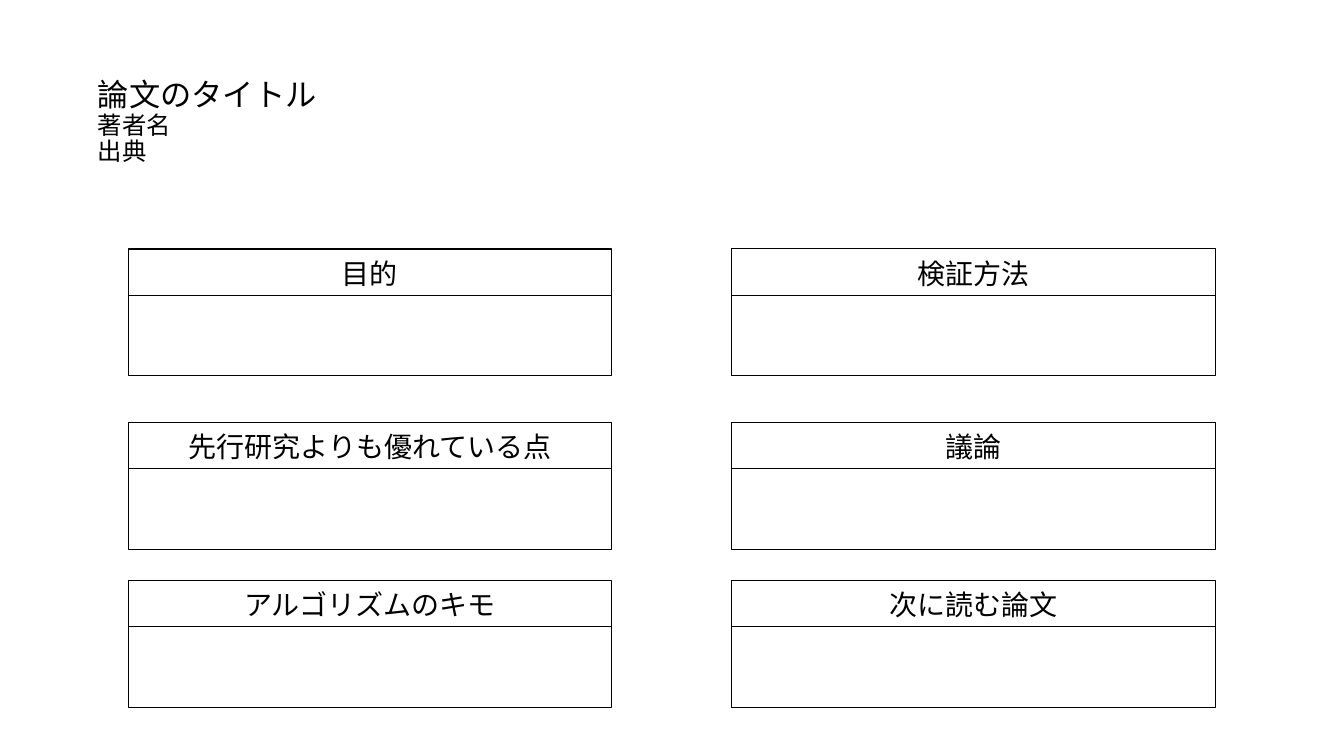
import copy
import dataclasses

import lxml.etree
import pptx
import pptx.dml.color
import pptx.enum.shapes
import pptx.enum.text
import pptx.oxml.ns
import pptx.shapes.autoshape
import pptx.slide
import pptx.text.text
import pptx.util
from pptx.util import Inches

FONT = "Noto Sans CJK JP"
INK = "000000"
LEFTS = (1.27, 7.26)
TOPS = (2.47, 4.19, 5.76)
WIDTH = 4.8
HEAD = 0.46
BODY = 0.8
INSET = Inches(0.05)


@dataclasses.dataclass
class Card:
    """A headed box, placed by column and row."""
    head: str
    col: int
    row: int


CARDS = (
    Card("目的", 0, 0),
    Card("検証方法", 1, 0),
    Card("先行研究よりも優れている点", 0, 1),
    Card("議論", 1, 1),
    Card("アルゴリズムのキモ", 0, 2),
    Card("次に読む論文", 1, 2),
)


def tint(code: str) -> pptx.dml.color.RGBColor:
    """Turn a hex string into a colour."""
    return pptx.dml.color.RGBColor.from_string(code)


def place(shape: pptx.shapes.autoshape.Shape, left: float, top: float,
          width: float, height: float) -> None:
    """Move and size a shape, in inches."""
    shape.left, shape.top = Inches(left), Inches(top)
    shape.width, shape.height = Inches(width), Inches(height)


def frame(shape: pptx.shapes.autoshape.Shape,
          anchor: pptx.enum.text.MSO_ANCHOR) -> pptx.text.text._Paragraph:
    """Set the text frame and give its first paragraph."""
    text = shape.text_frame
    text.word_wrap = True
    text.auto_size = pptx.enum.text.MSO_AUTO_SIZE.NONE
    text.vertical_anchor = anchor
    text.margin_left = text.margin_right = INSET
    text.margin_top = text.margin_bottom = INSET
    para = text.paragraphs[0]
    para.line_spacing = 0.9
    return para


def write(para: pptx.text.text._Paragraph, words: str,
          size: float) -> pptx.text.text._Run:
    """Add one run, with the font set for Latin and Japanese text."""
    run = para.add_run()
    run.text = words
    run.font.size = pptx.util.Pt(size)
    run.font.bold = False
    run.font.color.rgb = tint(INK)
    run.font.name = FONT
    east = lxml.etree.SubElement(run._r.rPr, pptx.oxml.ns.qn("a:ea"))
    east.set("typeface", FONT)
    return run


def split(para: pptx.text.text._Paragraph, run: pptx.text.text._Run) -> None:
    """Add a line break in the style of the run before it."""
    para.add_line_break()
    para._p[-1].append(copy.deepcopy(run._r.rPr))


def line(shape: pptx.shapes.autoshape.Shape) -> None:
    """Give a shape a thin outline and no fill."""
    shape.fill.background()
    shape.line.color.rgb = tint(INK)
    shape.line.width = pptx.util.Pt(0.75)


def box(slide: pptx.slide.Slide) -> pptx.shapes.autoshape.Shape:
    """Add a plain box, to be placed later."""
    shape = slide.shapes.add_shape(
        pptx.enum.shapes.MSO_SHAPE.RECTANGLE, 0, 0, 0, 0)
    shape.shadow.inherit = False
    return shape


def draw(slide: pptx.slide.Slide, card: Card,
         head: pptx.shapes.autoshape.Shape) -> None:
    """Draw a card with the given shape as its heading."""
    left, top = LEFTS[card.col], TOPS[card.row]
    place(head, left, top, WIDTH, HEAD)
    line(head)
    para = frame(head, pptx.enum.text.MSO_ANCHOR.BOTTOM)
    para.alignment = pptx.enum.text.PP_ALIGN.CENTER
    para.space_before = pptx.util.Pt(10)
    write(para, card.head, 20)
    body = box(slide)
    place(body, left, top + HEAD, WIDTH, BODY)
    line(body)


def label(slide: pptx.slide.Slide) -> None:
    """Fill the title with the paper, its author and its source."""
    title = slide.shapes.title
    place(title, 0.92, 0.29, 11.5, 1.85)
    para = frame(title, pptx.enum.text.MSO_ANCHOR.MIDDLE)
    para.alignment = pptx.enum.text.PP_ALIGN.LEFT
    split(para, write(para, "論文のタイトル", 22.3))
    split(para, write(para, "著者名", 17.4))
    write(para, "出典", 17.4)


def main() -> None:
    """Build the slide and save it."""
    deck = pptx.Presentation()
    deck.slide_width, deck.slide_height = Inches(13.33), Inches(7.5)
    slide = deck.slides.add_slide(deck.slide_layouts.get_by_name("Section Header"))
    label(slide)
    first, *rest = CARDS
    draw(slide, first, slide.placeholders[1])
    for card in rest:
        draw(slide, card, box(slide))
    deck.save("out.pptx")


main()
